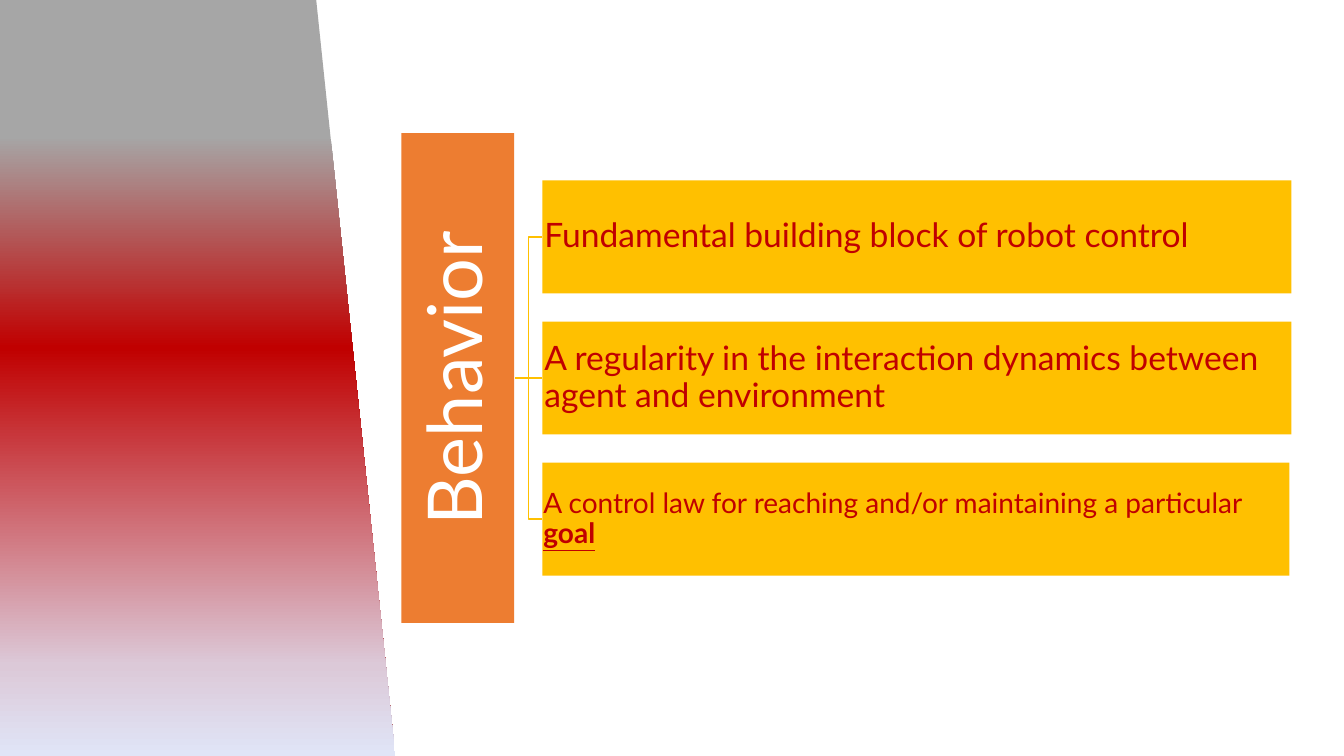
from copy import deepcopy

from pptx import Presentation
from pptx.dml.color import RGBColor
from pptx.enum.shapes import MSO_CONNECTOR as CONN, MSO_SHAPE as SHAPE
from pptx.enum.text import MSO_ANCHOR as ANCHOR, PP_ALIGN as ALIGN
from pptx.oxml.ns import qn
from pptx.util import Inches, Pt
from lxml.etree import SubElement


def rgb(value):
    return RGBColor.from_string(value)


class Deck:
    font = "Lato"
    gold, orange, red, white = "FFC000", "ED7D31", "C00000", "FFFFFF"

    def __init__(self, width, height):
        self.prs = Presentation()
        self.prs.slide_width, self.prs.slide_height = Inches(width), Inches(height)
        self.s = self.prs.slides.add_slide(self.prs.slide_layouts[6])

    def shape(self, kind, box, rotation=0, fill=None):
        sp = self.s.shapes.add_shape(kind, *map(Inches, box))
        sp.shadow.inherit = False
        sp.rotation = rotation
        sp.line.fill.background()
        if fill:
            sp.fill.solid()
            sp.fill.fore_color.rgb = rgb(fill)
        return sp

    def gradient_panel(self, box, rotation, stops):
        sp = self.shape(SHAPE.FLOWCHART_MANUAL_INPUT, box, rotation)
        sp.fill.gradient()
        sp.fill.gradient_angle = 0
        gs_list = sp.fill.gradient_stops[0]._gs.getparent()
        for _ in range(len(stops) - len(gs_list)):
            gs_list.append(deepcopy(gs_list[0]))
        for stop, (position, color) in zip(sp.fill.gradient_stops, stops):
            stop.position = position
            stop.color.rgb = rgb(color)

    def text_box(self, box, runs, fill, color, size, inset, align=ALIGN.LEFT, rotation=0):
        sp = self.shape(SHAPE.RECTANGLE, box, rotation, fill)
        tf = sp.text_frame
        frame = {"word_wrap": True, "vertical_anchor": ANCHOR.MIDDLE}
        frame.update({f"margin_{side}": Inches(inset)
                      for side in ("left", "top", "right", "bottom")})
        for name, value in frame.items():
            setattr(tf, name, value)
        p = tf.paragraphs[0]
        p.alignment, p.line_spacing = align, 0.9
        for text, extra in runs:
            r = p.add_run()
            r.text = text
            for name, value in {"name": self.font, "size": Pt(size), **extra}.items():
                setattr(r.font, name, value)
            r.font.color.rgb = rgb(color)

    def stroke(self, sp):
        sp.line.color.rgb = rgb(self.gold)
        sp.line.width = Pt(1)

    def straight(self, x1, y1, x2, y2):
        line = self.s.shapes.add_connector(CONN.STRAIGHT, *map(Inches, (x1, y1, x2, y2)))
        self.stroke(line)
        SubElement(line._element.spPr, qn("a:effectLst"))

    def elbow(self, x1, y1, x2, y2):
        middle = (x1 + x2) / 2
        builder = self.s.shapes.build_freeform(Inches(x1), Inches(y1))
        points = [(middle, y1), (middle, y2), (x2, y2)]
        builder.add_line_segments([(Inches(x), Inches(y)) for x, y in points], close=False)
        sp = builder.convert_to_shape()
        sp.shadow.inherit = False
        sp.fill.background()
        self.stroke(sp)


def main():
    deck = Deck(13.33, 7.5)
    deck.gradient_panel((-1.79, 1.79, 7.5, 3.92), 90, [
        (0.18, "A6A6A6"), (0.46, deck.red), (0.88, "DCC9D8"), (1, "E0E5F7")])

    center, pitch, height = 3.75, 1.4, 1.12
    root_right, item_left = 5.11, 5.38
    items = [
        ([("Fundamental building block of robot control", {})], 7.43, 24, 0.02),
        ([("A regularity in the interaction dynamics between agent and environment", {})],
         7.43, 24, 0.02),
        ([("A control law for reaching and/or maintaining a particular ", {}),
          ("goal", {"bold": True, "underline": True})], 7.41, 20, 0.01),
    ]
    rows = [center + pitch * (i - 1) for i in range(len(items))]

    for y in rows:
        link = deck.straight if y == center else deck.elbow
        link(root_right, center, item_left, y)

    deck.text_box((2.11, center - height / 2, 4.86, height), [("Behavior", {})],
                  deck.orange, deck.white, 54, 0.04, ALIGN.CENTER, 270)
    for y, (runs, width, size, inset) in zip(rows, items):
        deck.text_box((item_left, y - height / 2, width, height), runs,
                      deck.gold, deck.red, size, inset)

    deck.prs.save("out.pptx")


if __name__ == "__main__":
    main()
